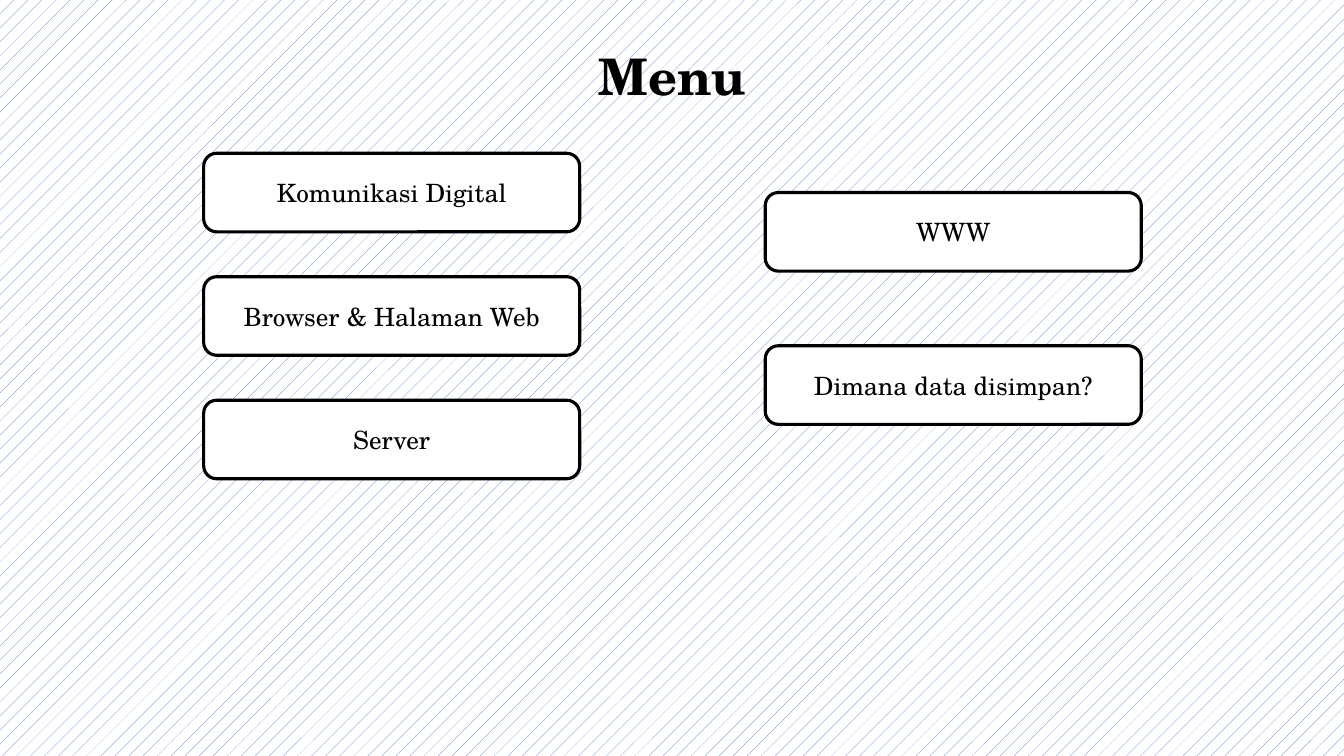
from dataclasses import dataclass

from pptx import Presentation
from pptx import util as u
from pptx.dml.color import RGBColor
from pptx.enum import dml, shapes, text

FONT = "TeX Gyre Schola"
BLACK, WHITE, BLUE = "000000", "FFFFFF", "4472C4"
WIDTH, HEIGHT = u.Inches(13.33), u.Inches(7.5)
BUTTON_WIDTH, BUTTON_HEIGHT = 3.73 / 13.33, 0.78 / 7.5


@dataclass(frozen=True)
class MenuColumn:
    left: float
    top: float
    step: float
    labels: tuple[str, ...]


MENU = (
    MenuColumn(2.02 / 13.33, 1.52 / 7.5, 1.225 / 7.5,
               ("Komunikasi Digital", "Browser & Halaman Web", "Server")),
    MenuColumn(7.59 / 13.33, 1.91 / 7.5, 1.52 / 7.5,
               ("WWW", "Dimana data disimpan?")),
)


def color(value: str) -> RGBColor:
    return RGBColor.from_string(value)


def across(share: float) -> int:
    return round(WIDTH * share)


def down(share: float) -> int:
    return round(HEIGHT * share)


def write(sp, label: str, size: float, bold: bool = False):
    tf = sp.text_frame
    tf.text = label
    tf.word_wrap = True
    tf.vertical_anchor = text.MSO_ANCHOR.MIDDLE
    p = tf.paragraphs[0]
    p.alignment = text.PP_ALIGN.CENTER
    p.font.name = FONT
    p.font.size = u.Pt(size)
    p.font.bold = bold
    p.font.color.rgb = color(BLACK)
    return p


def set_background(s) -> None:
    fill = s.background.fill
    fill.patterned()
    fill.pattern = dml.MSO_PATTERN.PERCENT_5
    fill.fore_color.rgb = color(BLUE)
    fill.back_color.rgb = color(WHITE)


def add_title(s, label: str) -> None:
    sp = s.shapes.title
    sp.left, sp.top = across(0.92 / 13.33), down(0.4 / 7.5)
    sp.width, sp.height = across(11.5 / 13.33), down(0.78 / 7.5)
    p = write(sp, label, 36, bold=True)
    p.line_spacing = 0.9


def add_column(s, column: MenuColumn) -> None:
    for row, label in enumerate(column.labels):
        sp = s.shapes.add_shape(
            shapes.MSO_SHAPE.ROUNDED_RECTANGLE,
            across(column.left), down(column.top + row * column.step),
            across(BUTTON_WIDTH), down(BUTTON_HEIGHT))
        sp.shadow.inherit = False
        sp.fill.solid()
        sp.fill.fore_color.rgb = color(WHITE)
        sp.line.color.rgb = color(BLACK)
        sp.line.width = u.Pt(2.25)
        write(sp, label, 18)


def main() -> None:
    prs = Presentation()
    prs.slide_width, prs.slide_height = WIDTH, HEIGHT
    s = prs.slides.add_slide(prs.slide_layouts[5])
    set_background(s)
    add_title(s, "Menu")
    for column in MENU:
        add_column(s, column)
    prs.save("out.pptx")


if __name__ == "__main__":
    main()
